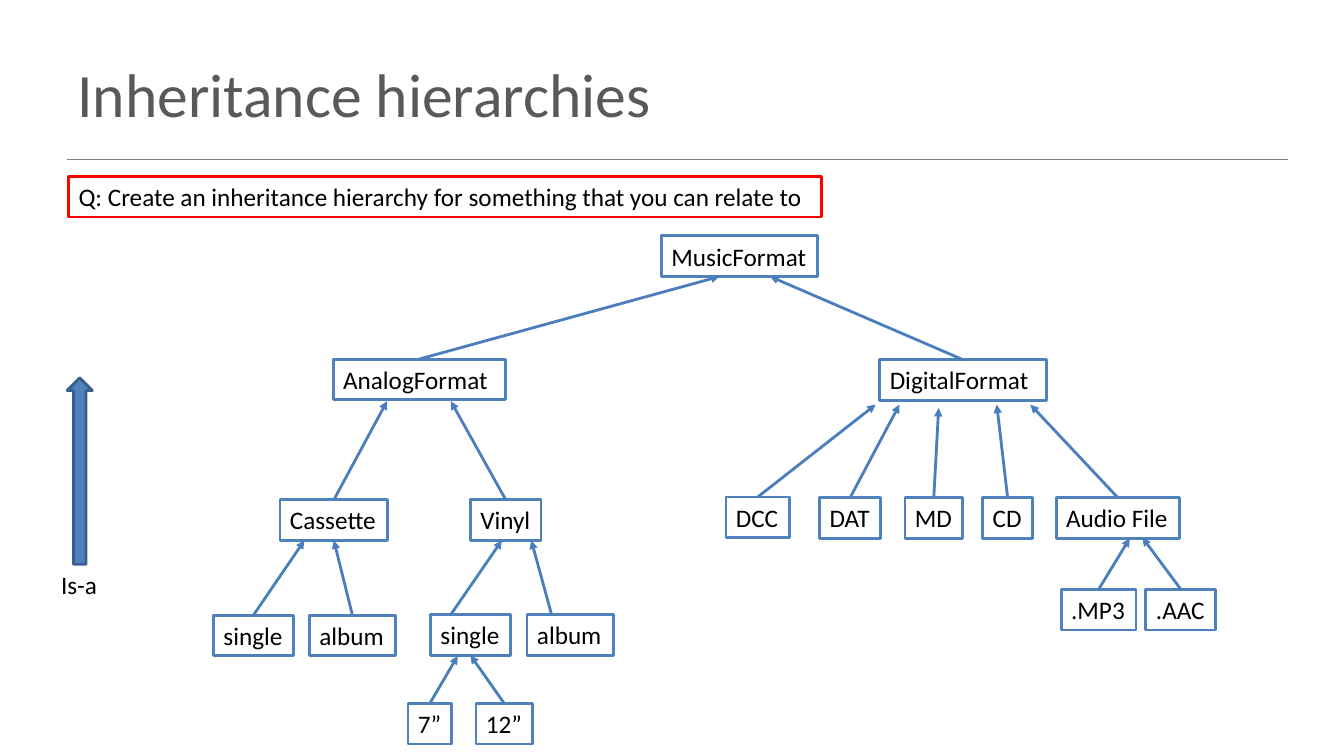
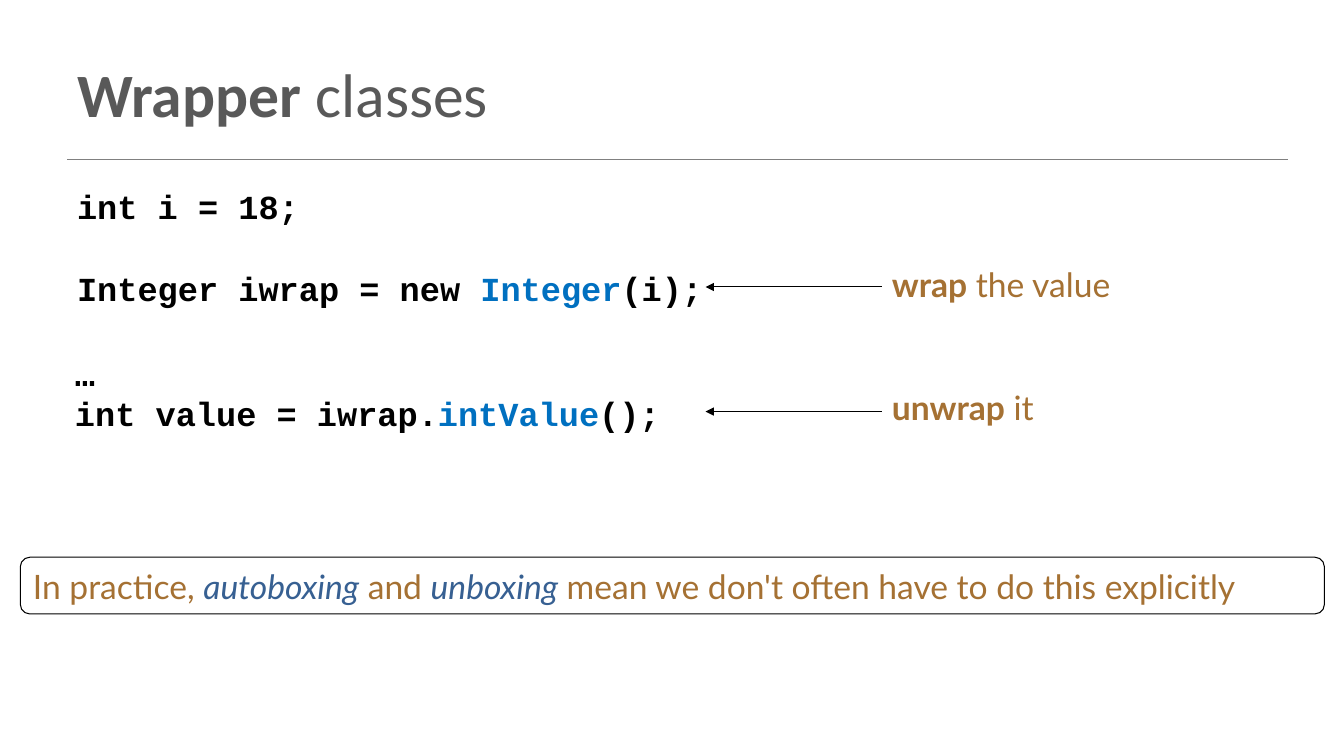
from pptx import Presentation, util as u
from pptx.dml.color import RGBColor
from pptx.enum import shapes as es, text as et
from pptx.oxml import ns, xmlchemy

Pt = u.Pt
BLACK, GREY, RULE, RED = "000000", "595959", "808080", "FF0000"
BLUE, ARROW_BLUE, DARK_BLUE = "4F81BD", "4B7EBC", "3A5F8C"
BROWN, NAVY, CODE_BLUE = "A57133", "376092", "0070C0"
BODY, NOTE, CODE = "Calibri", "Lato", "Courier New"
LABEL_HEIGHT = 29

QUESTION = "Q: Create an inheritance hierarchy for something that you can relate to"

# Each node: label, left, top, width, arrow tip, arrow start x (None: middle of the top)
HIERARCHY = [
    ("MusicFormat", 472.5, 168.5, 111.5, None, None),
    ("AnalogFormat", 238, 256.5, 123, (514, 197.5), None),
    ("DigitalFormat", 628.5, 257, 119, (550, 197.5), None),
    ("Cassette", 200, 357, 77, (276.5, 286.5), None),
    ("Vinyl", 336, 357, 50.5, (322, 286.5), None),
    ("single", 152.5, 439.5, 57, (217.5, 386), None),
    ("album", 221, 439.5, 61.5, (238.5, 386), None),
    ("single", 307.5, 439, 57, (358.5, 386), 322),
    ("album", 376.5, 439, 61.5, (379.5, 386), 394),
    ("7”", 291.5, 502.5, 31, (327, 468.5), None),
    ("12”", 340, 502.5, 40.5, (336, 468), None),
    ("DCC", 518.5, 355, 45.5, (625.5, 289), None),
    ("DAT", 585.5, 355.5, 43.5, (642.5, 289), None),
    ("MD", 646.5, 355.5, 41, (670.5, 291.5), None),
    ("CD", 702, 355.5, 35.5, (712, 289), None),
    ("Audio File", 754.5, 355.5, 88, (736, 289), None),
    (".MP3", 758, 421, 53.5, (807, 384.5), None),
    (".AAC", 818.5, 421, 50, (816, 384), None),
]

DECLARATION = [
    [("int i = 18;", BLACK, "b")],
    [("Integer iwrap = new ", BLACK, "b"), ("Integer", CODE_BLUE, "b"), ("(i);", BLACK, "b")],
]
RETRIEVAL = [
    [("…", BLACK, "b")],
    [("int value = iwrap.", BLACK, "b"), ("intValue", CODE_BLUE, "b"), ("();", BLACK, "b")],
]
CALLOUTS = [
    ([("wrap", BROWN, "b"), (" the value", BROWN, "")], 185, 204, 205),
    ([("unwrap", BROWN, "b"), (" it", BROWN, "")], 273, 140, 294),
]
PRACTICE = [
    ("In practice, ", BROWN, ""), ("autoboxing", NAVY, "i"), (" and ", BROWN, ""),
    ("unboxing", NAVY, "i"),
    (" mean we don't often have to do this explicitly", BROWN, ""),
]


def rgb(value):
    return RGBColor.from_string(value)


def write(frame, paragraphs, font, size, gap=0):
    for number, runs in enumerate(paragraphs):
        paragraph = frame.add_paragraph() if number else frame.paragraphs[0]
        paragraph.alignment = et.PP_ALIGN.LEFT
        if number and gap:
            paragraph.space_before = Pt(gap)
        for words, color, flags in runs:
            run = paragraph.add_run()
            run.text = words
            run.font.name, run.font.size = font, Pt(size)
            run.font.color.rgb = rgb(color)
            run.font.bold, run.font.italic = "b" in flags, "i" in flags


def outline(shape, color, width):
    shape.line.color.rgb = rgb(color)
    shape.line.width = Pt(width)


def add_line(slide, start, end, color, width, arrow=False):
    line = slide.shapes.add_connector(
        es.MSO_CONNECTOR.STRAIGHT, *(Pt(value) for value in (*start, *end)))
    outline(line, color, width)
    properties = line.line._get_or_add_ln()
    if arrow:
        tip = xmlchemy.OxmlElement("a:tailEnd")
        tip.set("type", "triangle")
        properties.append(tip)
    line._element.find(ns.qn("p:spPr")).append(xmlchemy.OxmlElement("a:effectLst"))
    return line


def add_text(slide, box, paragraphs, font, size, wrap=True, gap=0):
    area = slide.shapes.add_textbox(*map(Pt, box))
    area.text_frame.word_wrap = wrap
    area.text_frame.auto_size = et.MSO_AUTO_SIZE.SHAPE_TO_FIT_TEXT
    write(area.text_frame, paragraphs, font, size, gap)
    return area


def add_label(slide, words, left, top, width, border=None):
    label = add_text(slide, (left, top, width, LABEL_HEIGHT),
                     [[(words, BLACK, "")]], BODY, 18, wrap=False)
    if border:
        outline(label, border, 2)
    return label


def add_preset(slide, preset, box, line_color, line_width, fill=None):
    shape = slide.shapes.add_shape(preset, *map(Pt, box))
    shape.shadow.inherit = False
    if fill:
        shape.fill.solid()
        shape.fill.fore_color.rgb = rgb(fill)
    else:
        shape.fill.background()
    outline(shape, line_color, line_width)
    return shape


def add_slide(deck, title_runs):
    slide = deck.slides.add_slide(deck.slide_layouts[5])
    title = slide.shapes.title
    title.left, title.top, title.width, title.height = map(Pt, (48, 21.5, 864, 90))
    title.text_frame.vertical_anchor = et.MSO_ANCHOR.MIDDLE
    write(title.text_frame, [title_runs], BODY, 44)
    add_line(slide, (48, 114), (920, 114), RULE, 1)
    return slide


def build_hierarchy(deck):
    slide = add_slide(deck, [("Inheritance hierarchies", GREY, "")])
    add_label(slide, QUESTION, 49, 126, 538, RED)
    add_label(slide, "Is-a", 36.5, 403, 40.5)
    add_preset(slide, es.MSO_SHAPE.UP_ARROW, (48, 270, 18, 133), DARK_BLUE, 2, BLUE)
    for words, left, top, width, tip, start_x in HIERARCHY:
        node = add_label(slide, words, left, top, width, BLUE)
        if tip:
            start = (start_x or left + width / 2, top)
            branch = add_line(slide, start, tip, ARROW_BLUE, 2, arrow=True)
            if start_x is None:
                branch.begin_connect(node, 0)


def build_wrappers(deck):
    slide = add_slide(deck, [("Wrapper", GREY, "b"), (" classes", GREY, "")])
    add_text(slide, (48, 129, 534, 94), DECLARATION, CODE, 24, gap=30)
    add_text(slide, (46.5, 248.5, 534, 65.5), RETRIEVAL, CODE, 24)
    for runs, top, width, arrow_y in CALLOUTS:
        add_text(slide, (630, top, width, 36), [runs], NOTE, 24)
        add_line(slide, (630, arrow_y), (504, arrow_y), BLACK, 0.75, arrow=True)
    practice = add_preset(slide, es.MSO_SHAPE.ROUNDED_RECTANGLE,
                          (14.5, 398, 931.5, 40.5), BLACK, 0.75)
    practice.text_frame.word_wrap = True
    write(practice.text_frame, [PRACTICE], NOTE, 24)


def main():
    deck = Presentation()
    deck.slide_width, deck.slide_height = Pt(960), Pt(540)
    build_hierarchy(deck)
    build_wrappers(deck)
    deck.save("out.pptx")


if __name__ == "__main__":
    main()
